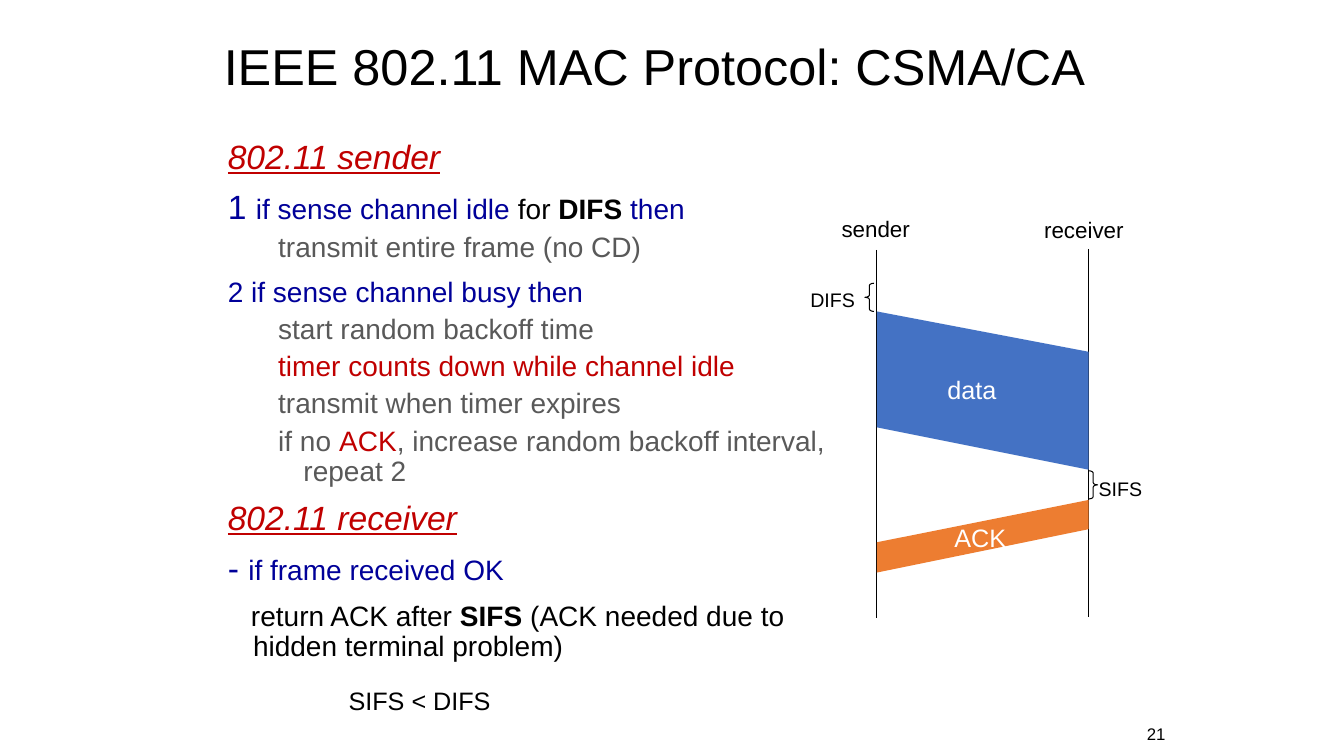
import pptx
import pptx.dml.color
import pptx.enum.shapes
import pptx.enum.text
import pptx.oxml.ns
import pptx.util
from lxml import etree

COLUMNS, ROWS = 40, 30
COLORS = {
    "black": "000000",
    "white": "FFFFFF",
    "red": "C00000",
    "navy": "000099",
    "gray": "595959",
    "blue": "4472C4",
    "orange": "ED7D31",
}
ALIGN = pptx.enum.text.PP_ALIGN
ANCHOR = pptx.enum.text.MSO_ANCHOR
SHAPES = pptx.enum.shapes.MSO_SHAPE

# Each line: kind, then runs of (text, color, extra run settings)
HEADING = {"size": 24, "italic": True, "underline": True}
BOLD = {"bold": True}
LARGE = {"size": 24}
PROTOCOL = [
    ("item", [("802.11 sender", "red", HEADING)]),
    ("item", [("1 ", "navy", LARGE), ("if sense channel idle", "navy", {}),
              (" for ", "black", {}), ("DIFS ", "black", BOLD), ("then", "navy", {})]),
    ("step", [("transmit entire frame (no CD)", "gray", {})]),
    ("item", [("2 if sense channel busy then", "navy", {})]),
    ("step", [("start random backoff time", "gray", {})]),
    ("step", [("timer counts down while channel idle", "red", {})]),
    ("step", [("transmit when timer expires", "gray", {})]),
    ("step", [("if no ", "gray", {}), ("ACK", "red", {}),
              (", increase random backoff interval, repeat 2", "gray", {})]),
    ("item", [("802.11 receiver", "red", HEADING)]),
    ("item", [("- ", "navy", LARGE), ("if frame received OK", "navy", {})]),
    ("reply", [("return ACK after ", "black", {}), ("SIFS ", "black", BOLD),
               ("(ACK needed due to hidden terminal problem)", "black", {})]),
]
# Level, left margin and first-line indent in inches, space before in points
LINE_KINDS = {
    "item": (0, 0.25, -0.25, 10),
    "step": (1, 0.75, -0.25, 5),
    "reply": (0, 0.25, -0.02, 10),
}


class SlideBuilder:
    """Holds the style and the current slide; positions are grid columns and rows."""

    font_name = "Arial"
    line_width = pptx.util.Pt(0.75)

    def __init__(self, presentation):
        self.column = presentation.slide_width / COLUMNS
        self.row = presentation.slide_height / ROWS
        self.slide = presentation.slides.add_slide(presentation.slide_layouts[1])

    def point(self, column, row):
        return round(column * self.column), round(row * self.row)

    def box(self, left, top, width, height):
        return *self.point(left, top), *self.point(width, height)

    def color(self, name):
        return pptx.dml.color.RGBColor.from_string(COLORS[name])

    def style(self, font, size, color, bold=False, italic=False, underline=False):
        font.name = self.font_name
        font.size = pptx.util.Pt(size)
        font.color.rgb = self.color(color)
        font.bold, font.italic, font.underline = bold, italic, underline

    def place(self, shape, box):
        shape.left, shape.top, shape.width, shape.height = self.box(*box)
        shape.text_frame.auto_size = pptx.enum.text.MSO_AUTO_SIZE.NONE
        shape.text_frame.word_wrap = True

    def title(self, text, box):
        shape = self.slide.shapes.title
        self.place(shape, box)
        shape.text_frame.text = text
        shape.text_frame.vertical_anchor = ANCHOR.MIDDLE
        paragraph = shape.text_frame.paragraphs[0]
        paragraph.alignment = ALIGN.LEFT
        paragraph.line_spacing = 0.9
        self.style(paragraph.runs[0].font, 36, "black")

    def body(self, lines, box):
        shape = self.slide.placeholders[1]
        self.place(shape, box)
        frame = shape.text_frame
        for index, (kind, runs) in enumerate(lines):
            paragraph = frame.add_paragraph() if index else frame.paragraphs[0]
            level, margin, indent, space = LINE_KINDS[kind]
            paragraph.level = level
            properties = paragraph._p.get_or_add_pPr()
            properties.set("marL", str(pptx.util.Inches(margin)))
            properties.set("indent", str(pptx.util.Inches(indent)))
            etree.SubElement(properties, pptx.oxml.ns.qn("a:buNone"))
            paragraph.line_spacing = 0.9
            paragraph.space_before = pptx.util.Pt(space if index else 0)
            for text, color, settings in runs:
                run = paragraph.add_run()
                run.text = text
                self.style(run.font, **{"size": 20, "color": color, **settings})

    def label(self, text, box, size, color="black", align=ALIGN.LEFT,
              anchor=ANCHOR.TOP, wrap=False):
        frame = self.slide.shapes.add_textbox(*self.box(*box)).text_frame
        frame.text = text
        frame.word_wrap = wrap
        frame.vertical_anchor = anchor
        paragraph = frame.paragraphs[0]
        paragraph.alignment = align
        self.style(paragraph.runs[0].font, size, color)

    def lifeline(self, column, top, bottom):
        line = self.slide.shapes.add_connector(
            pptx.enum.shapes.MSO_CONNECTOR.STRAIGHT,
            *self.point(column, top), *self.point(column, bottom))
        line.line.color.rgb = self.color("black")
        line.line.width = self.line_width
        etree.SubElement(line._element.spPr, pptx.oxml.ns.qn("a:effectLst"))

    def brace(self, preset, left, top):
        shape = self.slide.shapes.add_shape(preset, *self.box(left, top, 0.27, 1.12))
        shape.shadow.inherit = False
        shape.adjustments[0] = 0.25
        shape.fill.background()
        shape.line.color.rgb = self.color("black")
        shape.line.width = self.line_width

    def frame_band(self, corners, color):
        points = [self.point(*corner) for corner in corners]
        outline = self.slide.shapes.build_freeform(*points[0])
        outline.add_line_segments(points[1:], close=True)
        shape = outline.convert_to_shape()
        shape.shadow.inherit = False
        shape.fill.solid()
        shape.fill.fore_color.rgb = self.color(color)
        shape.line.fill.background()


def main():
    presentation = pptx.Presentation()
    presentation.slide_width = pptx.util.Inches(13.33)
    presentation.slide_height = pptx.util.Inches(7.5)
    builder = SlideBuilder(presentation)

    # Title and protocol steps
    builder.title("IEEE 802.11 MAC Protocol: CSMA/CA", (6.36, 0.68, 26.97, 4.16))
    builder.body(PROTOCOL, (6.48, 5.36, 18.48, 21.68))

    # Sender and receiver lifelines
    sender, receiver = 26.1, 32.4
    builder.lifeline(sender, 9.92, 24.52)
    builder.lifeline(receiver, 9.88, 24.48)
    builder.label("sender", (24.75, 8.36, 2.73, 1.48), 16)
    builder.label("receiver", (30.78, 8.4, 3, 1.48), 16)

    # DIFS wait, then the data frame
    builder.brace(SHAPES.LEFT_BRACE, 25.74, 11.24)
    builder.label("DIFS", (23.82, 11.24, 1.95, 1.36), 14)
    builder.frame_band([(sender, 12.36), (receiver, 13.96),
                        (receiver, 18.64), (sender, 16.96)], "blue")
    builder.label("data", (27.9, 14.64, 2.07, 1.6), 18, "white")

    # SIFS wait, then the acknowledgement
    builder.label("SIFS", (receiver, 18.72, 1.92, 1.36), 14)
    builder.brace(SHAPES.RIGHT_BRACE, receiver, 18.68)
    builder.frame_band([(sender, 22.72), (receiver, 21),
                        (receiver, 19.84), (sender, 21.52)], "orange")
    builder.label("ACK", (28.11, 20.52, 2.16, 1.6), 18, "white")

    # Slide number and closing note
    builder.label("21", (32.73, 28.52, 2.25, 1.2), 12, align=ALIGN.RIGHT,
                  anchor=ANCHOR.MIDDLE, wrap=True)
    builder.label("SIFS < DIFS", (10.08, 27, 9.21, 1.6), 18, wrap=True)

    presentation.save("out.pptx")


if __name__ == "__main__":
    main()
